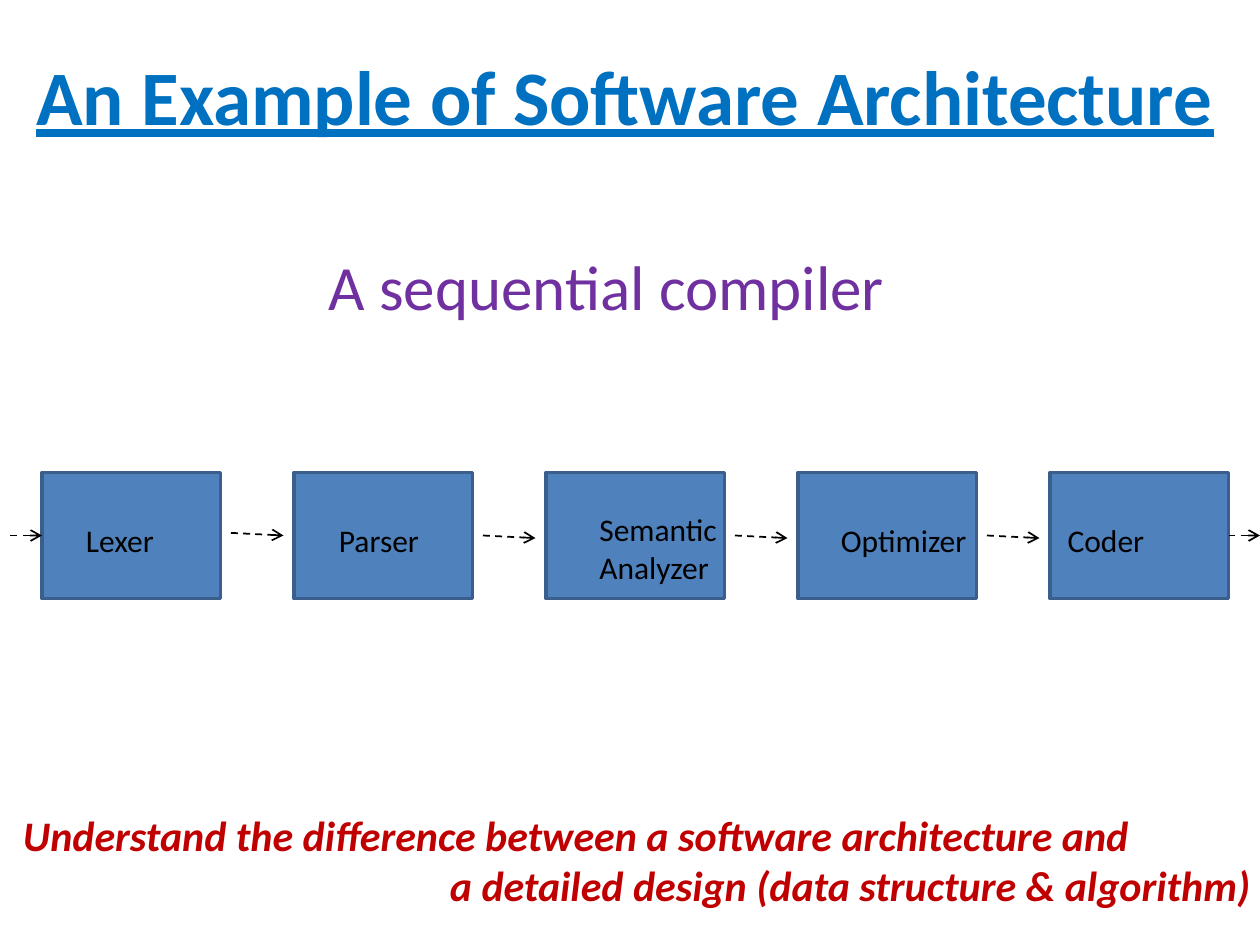
from lxml import etree
from pptx import Presentation
from pptx import util as u
from pptx.dml.color import RGBColor
from pptx.enum import dml, shapes, text
from pptx.oxml.ns import qn

COLORS = {"title": "0070C0", "subtitle": "7030A0", "stage": "4F81BD",
          "edge": "3A5F8C", "ink": "000000", "closing": "C00000"}
UNIT = 1 / 12
STAGES = [("Lexer", 3, 4, 9), ("Parser", 3.1, 4, 10.1),
          ("Semantic\nAnalyzer", 3.9, 3, 13.8),
          ("Optimizer", 2.9, 4, 14.5), ("Coder", 0.5, 4, 9.8)]
PITCH, STAGE_W, STAGE_H = 24, 17, 12


def grid(*values):
    """Turn columns or rows of a twelfth of an inch into lengths."""
    return [u.Inches(v * UNIT) for v in values]


def rgb(name):
    """Look up a colour by its role."""
    return RGBColor.from_string(COLORS[name])


def write(sp, words, color, aligns=(), wrap=False, **fmt):
    """Fill a text frame, one paragraph a line."""
    tf = sp.text_frame
    tf.text = words
    frame = {"word_wrap": wrap, "auto_size": text.MSO_AUTO_SIZE.NONE,
             "vertical_anchor": text.MSO_ANCHOR.TOP}
    for key, value in frame.items():
        setattr(tf, key, value)
    for p, align in zip(tf.paragraphs, aligns):
        p.alignment = align
    for p in tf.paragraphs:
        for r in p.runs:
            for key, value in {"name": "Calibri", **fmt}.items():
                setattr(r.font, key, value)
            r.font.color.rgb = rgb(color)


def label(s, box, words, color, **fmt):
    """Add a text box at a grid box."""
    write(s.shapes.add_textbox(*grid(*box)), words, color, **fmt)


def arrow(s, x1, y1, x2, y2):
    """Add a dashed arrow between two grid points."""
    sp = s.shapes.add_connector(shapes.MSO_CONNECTOR.STRAIGHT,
                                *grid(x1, y1, x2, y2))
    sp.line.width = u.Pt(1)
    sp.line.color.rgb = rgb("ink")
    sp.line.dash_style = dml.MSO_LINE.DASH
    etree.SubElement(sp.line._get_or_add_ln(), qn("a:tailEnd"), type="arrow")
    etree.SubElement(sp._element.spPr, qn("a:effectLst"))


def heading(s, left, top, width):
    """Place the title and the subtitle below it."""
    title = s.shapes.title
    title.left, title.top, title.width, title.height = grid(left, top, width, 10)
    write(title, "An Example of Software Architecture", "title",
          [text.PP_ALIGN.CENTER], size=u.Pt(44), bold=True, underline=True)
    label(s, (left + 28.4, top + 19, 55.8, 8.5), "A sequential compiler",
          "subtitle", size=u.Pt(36))


def pipeline(s, left, top):
    """Draw the compiler stages, the arrows and the names."""
    middle = top + STAGE_H / 2
    for i in range(len(STAGES)):
        sp = s.shapes.add_shape(shapes.MSO_SHAPE.RECTANGLE,
                                *grid(left + i * PITCH, top, STAGE_W, STAGE_H))
        sp.shadow.inherit = False
        sp.fill.solid()
        sp.fill.fore_color.rgb = rgb("stage")
        sp.line.color.rgb = rgb("edge")
        sp.line.width = u.Pt(2)
    arrow(s, left - 3, middle, left, middle)
    for i in range(len(STAGES) - 1):
        start = left + i * PITCH + STAGE_W + 1
        y = middle if i else middle - 0.25
        arrow(s, start, y, start + 5, y + 0.25)
    end = left + (len(STAGES) - 1) * PITCH + STAGE_W
    arrow(s, end, middle, end + 3, middle)
    for i, (name, dx, dy, width) in enumerate(STAGES):
        height = 4.8 + 3.7 * name.count("\n")
        label(s, (left + i * PITCH + dx, top + dy - 0.0, width, height), name,
              "ink", size=u.Pt(18))


def closing(s, left, top, width):
    """Place the two-line remark, its second line set right."""
    label(s, (left, top, width, 10.9),
          "Understand the difference between a software architecture and\n"
          "a detailed design (data structure & algorithm)", "closing",
          aligns=[text.PP_ALIGN.LEFT, text.PP_ALIGN.RIGHT], wrap=True,
          size=u.Pt(24), bold=True, italic=True)


def main():
    """Build the slide and save it."""
    prs = Presentation()
    prs.slide_width, prs.slide_height = grid(120, 90)
    s = prs.slides.add_slide(prs.slide_layouts[5])
    heading(s, 1.7, 4, 115.7)
    pipeline(s, 4, 45)
    closing(s, 1, 76.5, 119.3)
    prs.save("out.pptx")


main()
